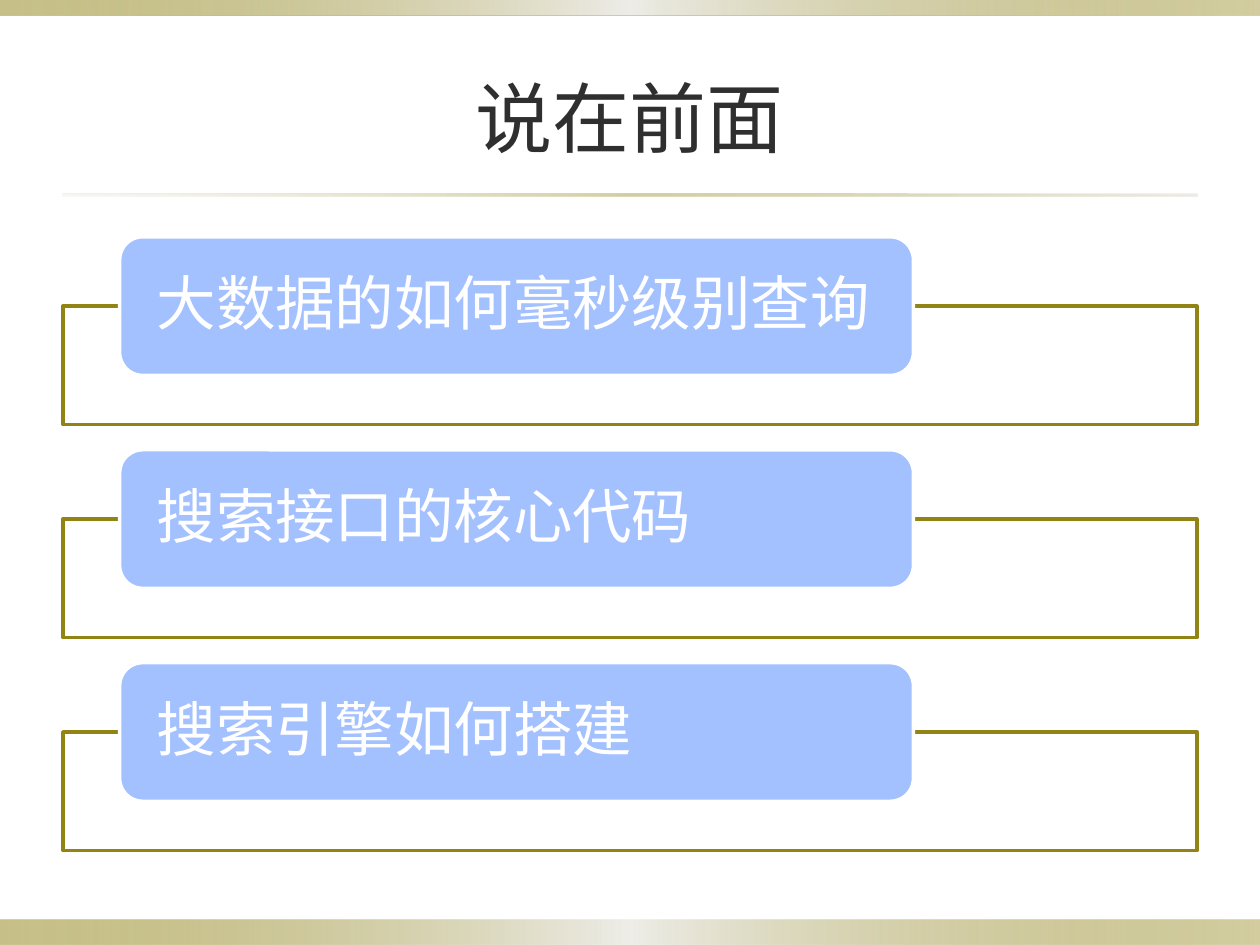
from lxml import etree
from pptx import Presentation
from pptx.dml.color import RGBColor
from pptx.enum.shapes import MSO_SHAPE
from pptx.enum.text import MSO_ANCHOR, MSO_AUTO_SIZE, PP_ALIGN
from pptx.oxml.ns import qn
from pptx.util import Inches, Pt

RECT, ROUND = MSO_SHAPE.RECTANGLE, MSO_SHAPE.ROUNDED_RECTANGLE
MIDDLE, NO_FIT = MSO_ANCHOR.MIDDLE, MSO_AUTO_SIZE.NONE
LEFT, CENTER = PP_ALIGN.LEFT, PP_ALIGN.CENTER

OLIVE = RGBColor(0x91, 0x84, 0x15)
PALE = RGBColor(0xEE, 0xED, 0xE8)
SAND = RGBColor(0xDC, 0xD9, 0xCC)
BLUE = RGBColor(0xA3, 0xC0, 0xFF)
WHITE = RGBColor(0xFF, 0xFF, 0xFF)
INK = RGBColor(0x2F, 0x2F, 0x2F)

# Gradient stops: position, colour and opacity in percent
BAND = [(0, OLIVE, 50), (50, PALE, 100), (100, OLIVE, 40)]
RULE = [(0, SAND, 20), (50, OLIVE, 40), (100, SAND, 50)]

TITLE = "说在前面"
TOPICS = ["大数据的如何毫秒级别查询", "搜索接口的核心代码", "搜索引擎如何搭建"]
TOP, STEP = 1.88, 1.69


def put_text(shape, text, font, size, color, align=LEFT, inset=0.1,
             line=1.0, after=0):
    frame = shape.text_frame
    frame.word_wrap = True
    frame.auto_size = NO_FIT
    frame.vertical_anchor = MIDDLE
    frame.margin_left = frame.margin_right = Inches(inset)
    para = frame.paragraphs[0]
    para.alignment = align
    para.line_spacing = line
    para.space_after = Pt(after)
    run = para.add_run()
    run.text = text
    run.font.name = font
    run.font.size = Pt(size)
    run.font.color.rgb = color
    east = etree.SubElement(run.font._element, qn("a:ea"))
    east.set("typeface", "Noto Sans CJK SC")


def set_alpha(color, percent):
    node = etree.SubElement(color, qn("a:alpha"))
    node.set("val", str(percent * 1000))


class Deck:
    """Holds the style and the current slide."""

    def __init__(self):
        self.file = Presentation()
        self.file.slide_width, self.file.slide_height = Inches(10), Inches(7.5)
        self.slide = self.file.slides.add_slide(self.file.slide_layouts[5])
        self.head, self.body = "Noto Sans CJK SC", "Karla"

    def shape(self, kind, *box):
        item = self.slide.shapes.add_shape(kind, *map(Inches, box))
        item.shadow.inherit = False
        return item

    def band(self, box, stops):
        item = self.shape(RECT, *box)
        item.line.fill.background()
        item.fill.gradient()
        item.fill.gradient_angle = 0
        grad = item._element.spPr.find(qn("a:gradFill")).find(qn("a:gsLst"))
        for old in list(grad):
            grad.remove(old)
        for pos, color, alpha in stops:
            stop = etree.SubElement(grad, qn("a:gs"), pos=str(pos * 1000))
            tint = etree.SubElement(stop, qn("a:srgbClr"), val=str(color))
            set_alpha(tint, alpha)

    def box(self, kind, box, fill, line):
        item = self.shape(kind, *box)
        item.fill.solid()
        item.fill.fore_color.rgb = fill
        item.line.color.rgb = line
        item.line.width = Pt(2)
        return item

    def title(self, text):
        item = self.slide.shapes.title
        item.left, item.top = Inches(0.5), Inches(0.3)
        item.width, item.height = Inches(9), Inches(1.25)
        put_text(item, text, self.head, 44, INK, align=CENTER)

    def topic(self, text, top):
        frame = self.box(RECT, (0.5, top + 0.55, 9, 0.94), WHITE, OLIVE)
        solid = frame._element.spPr.find(qn("a:solidFill"))
        set_alpha(solid[0], 90)
        label = self.box(ROUND, (0.95, top, 6.3, 1.1), BLUE, WHITE)
        put_text(label, text, self.body, 34, WHITE, inset=0.24,
                 line=0.9, after=12)


def main():
    deck = Deck()
    deck.band((0, 7.3, 10, 0.2), BAND)
    deck.band((0, 0, 10, 0.12), BAND)
    deck.band((0.5, 1.54, 9, 0.02), RULE)
    deck.title(TITLE)
    for row, text in enumerate(TOPICS):
        deck.topic(text, TOP + row * STEP)
    deck.file.save("out.pptx")


if __name__ == "__main__":
    main()
